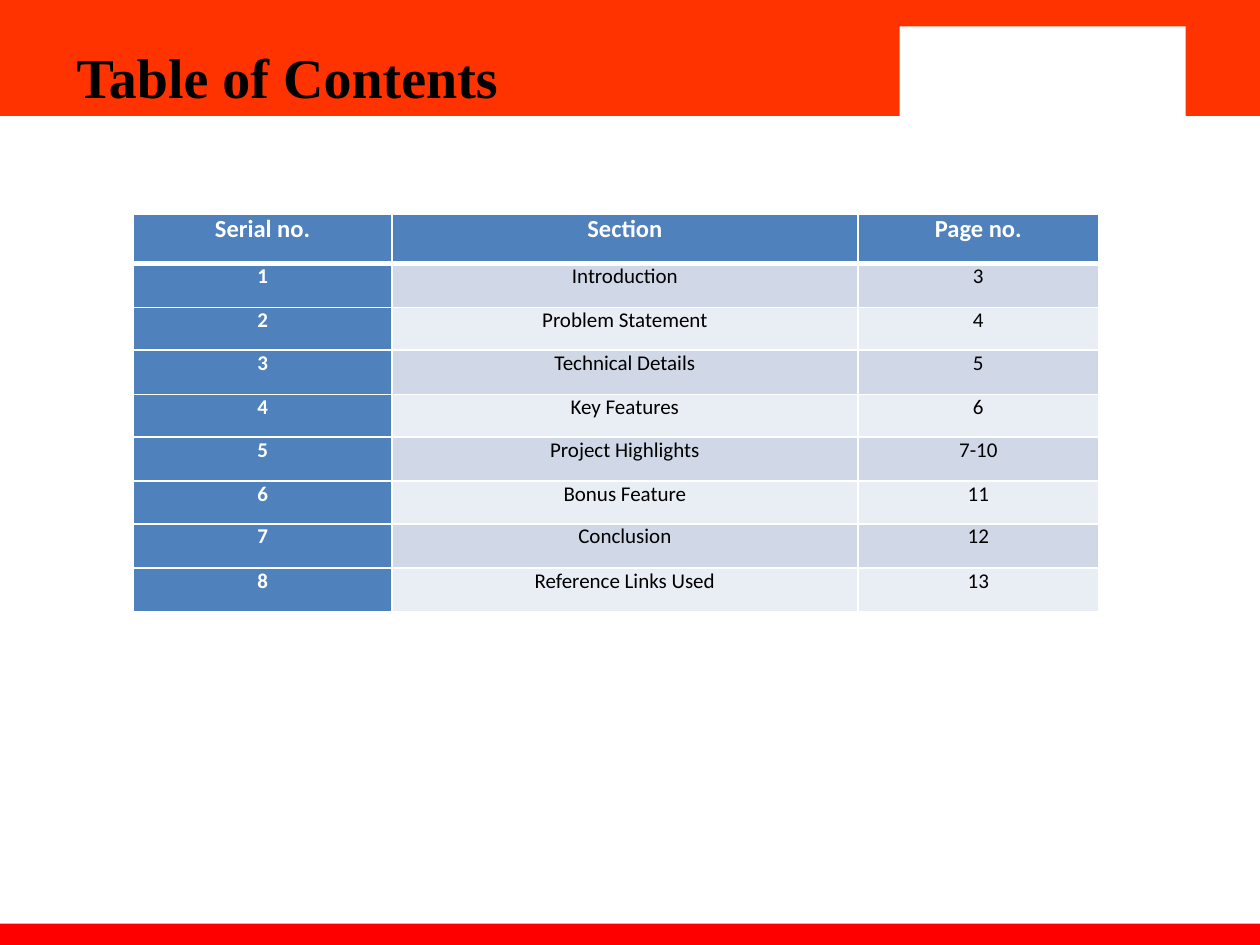
import lxml.etree
import pptx
import pptx.dml.color
import pptx.enum.shapes
import pptx.enum.text
import pptx.oxml.ns
import pptx.util
from pptx.util import Inches

COLORS = {
    "banner": "FF3300",
    "footer": "FF0000",
    "white": "FFFFFF",
    "black": "000000",
    "head": "4F81BD",
    "odd": "D0D8E8",
    "even": "E9EDF4",
}

WIDTHS = [2.05, 3.7, 1.91]
HEIGHTS = [0.39] + [0.35, 0.34] * 3 + [0.35, 0.35]
ROWS = [
    ("Serial no.", "Section", "Page no."),
    ("1", "Introduction", "3"),
    ("2", "Problem Statement", "4"),
    ("3", "Technical Details", "5"),
    ("4", "Key Features", "6"),
    ("5", "Project Highlights", "7-10"),
    ("6", "Bonus Feature", "11"),
    ("7", "Conclusion", "12"),
    ("8", "Reference Links Used", "13"),
]


def color(name):
    return pptx.dml.color.RGBColor.from_string(COLORS[name])


class Page:
    """Holds the style and the current slide."""

    title_font = "Times New Roman"
    table_font = "Calibri"

    def __init__(self, slide):
        self.slide = slide

    def style(self, para, font, size, ink, bold):
        para.font.name = font
        para.font.size = pptx.util.Pt(size)
        para.font.bold = bold
        para.font.color.rgb = color(ink)

    def block(self, left, top, width, height, fill):
        shape = self.slide.shapes.add_shape(
            pptx.enum.shapes.MSO_SHAPE.RECTANGLE,
            Inches(left), Inches(top), Inches(width), Inches(height))
        shape.shadow.inherit = False
        shape.fill.solid()
        shape.fill.fore_color.rgb = color(fill)
        shape.line.fill.background()

    def title(self, left, top, width, height, text):
        box = self.slide.shapes.add_textbox(
            Inches(left), Inches(top), Inches(width), Inches(height))
        box.text_frame.word_wrap = True
        para = box.text_frame.paragraphs[0]
        para.text = text
        self.style(para, self.title_font, 32, "black", True)

    def border(self, cell, side, width):
        props = cell._tc.get_or_add_tcPr()
        qn = pptx.oxml.ns.qn
        line = lxml.etree.SubElement(
            props, qn("a:ln" + side), w=str(pptx.util.Pt(width)))
        fill = lxml.etree.SubElement(line, qn("a:solidFill"))
        lxml.etree.SubElement(fill, qn("a:srgbClr"), val=COLORS["white"])

    def cell(self, cell, text, row, col):
        top_row = row == 0
        key = top_row or col == 0
        # Thick rule between the header and the body
        thick = {"B": 3} if top_row else {"T": 3} if row == 1 else {}
        for side in "LRTB":
            self.border(cell, side, thick.get(side, 1))
        cell.fill.solid()
        cell.fill.fore_color.rgb = color(
            "head" if key else "odd" if row % 2 else "even")
        cell.margin_left = cell.margin_right = Inches(0.07)
        cell.margin_top = cell.margin_bottom = 0
        para = cell.text_frame.paragraphs[0]
        para.text = text
        para.alignment = pptx.enum.text.PP_ALIGN.CENTER
        para.space_before = pptx.util.Pt(0.4)
        self.style(para, self.table_font, 14 if top_row else 12,
                   "white" if key else "black", key)

    def table(self, left, top, widths, heights, rows):
        table = self.slide.shapes.add_table(
            len(rows), len(widths), Inches(left), Inches(top),
            Inches(sum(widths)), Inches(sum(heights))).table
        table.first_col = True
        for col, width in zip(table.columns, widths):
            col.width = Inches(width)
        for row, height in zip(table.rows, heights):
            row.height = Inches(height)
        for r, texts in enumerate(rows):
            for c, text in enumerate(texts):
                self.cell(table.cell(r, c), text, r, c)


def main():
    deck = pptx.Presentation()
    deck.slide_width = Inches(10)
    deck.slide_height = Inches(7.5)
    page = Page(deck.slides.add_slide(deck.slide_layouts[6]))

    # Banner, footer and the white panel at the top right
    page.block(0, 0, 10, 0.92, "banner")
    page.block(0, 7.33, 10, 0.22, "footer")
    page.block(6.72, 0, 3.28, 0.92, "banner")
    page.block(7.14, 0.21, 2.27, 0.75, "white")

    # Title and contents
    page.title(0.51, 0.29, 5.91, 0.64, "Table of Contents")
    page.table(1.06, 1.7, WIDTHS, HEIGHTS, ROWS)

    deck.save("out.pptx")


if __name__ == "__main__":
    main()
